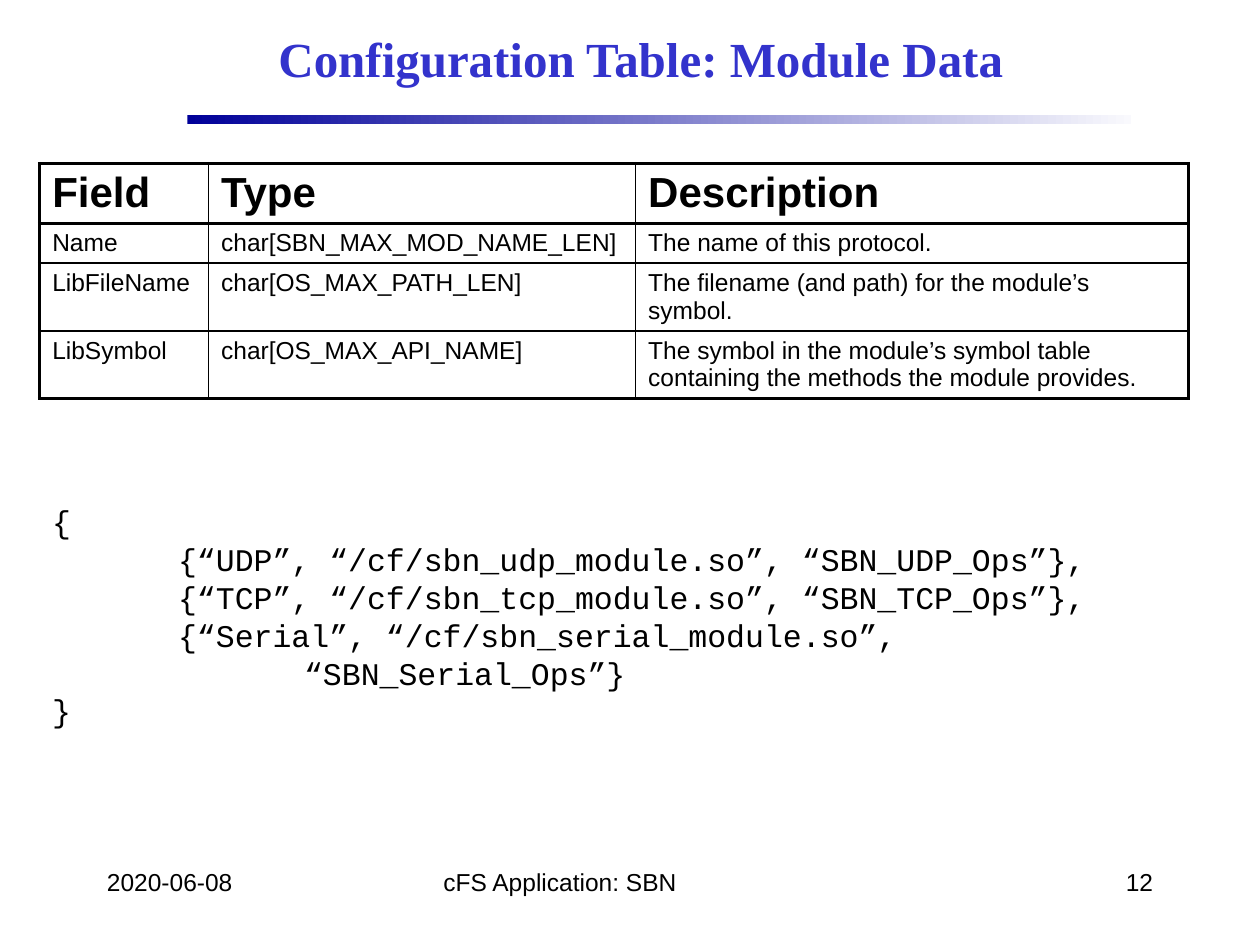
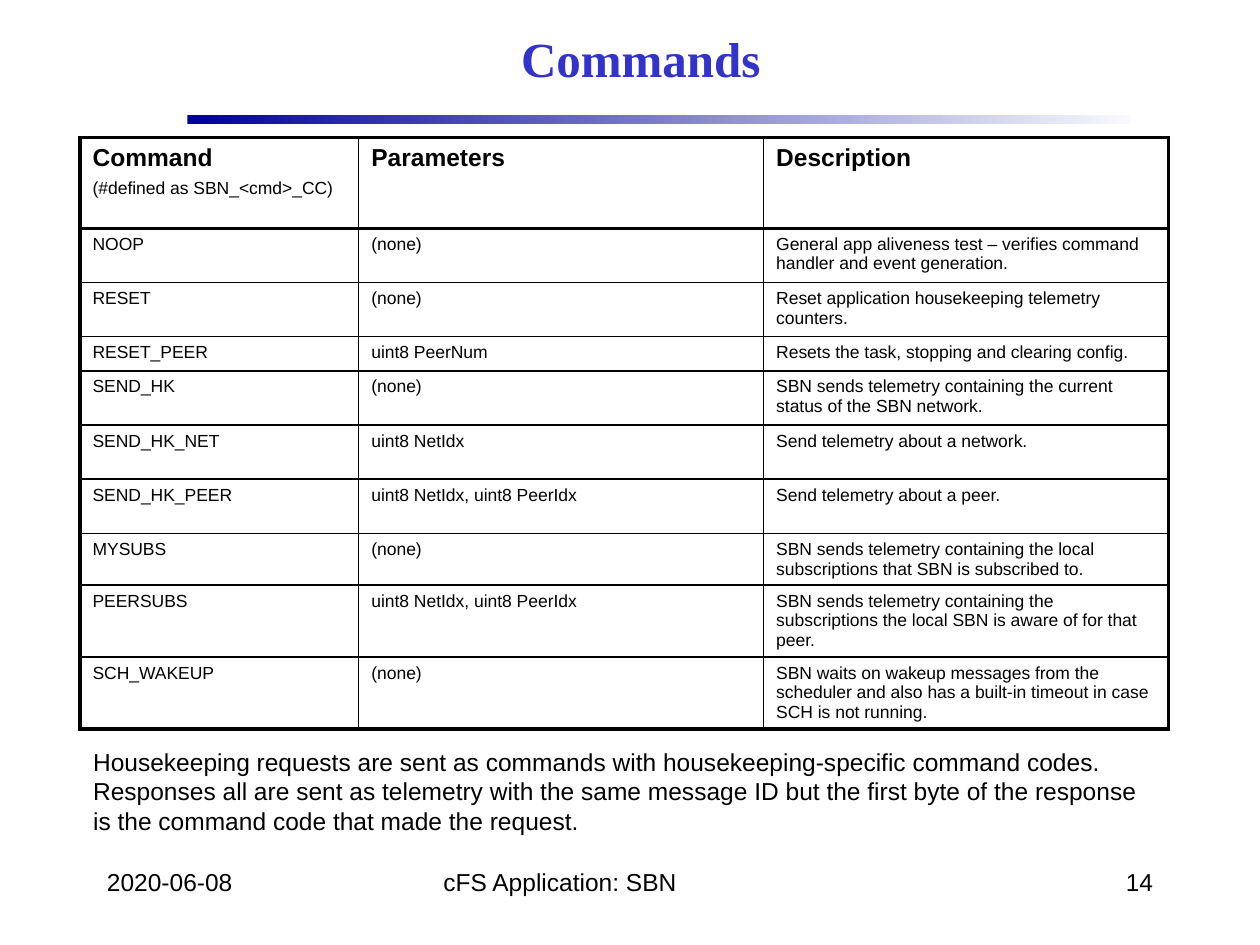
from dataclasses import dataclass

from pptx import Presentation
from pptx.dml.color import RGBColor
from pptx.enum.shapes import MSO_SHAPE
from pptx.enum.text import MSO_ANCHOR, PP_ALIGN
from pptx.oxml import parse_xml
from pptx.oxml.ns import nsdecls
from pptx.util import Inches, Pt

WIDTH, HEIGHT = Inches(10), Inches(7.5)
TAB_WIDTH = Inches(1)
CELL_BOTTOM_MARGIN = Inches(0.02)
BLACK, WHITE, TITLE_BLUE = "000000", "FFFFFF", "3333CC"
BAND_START, BAND_END = "000099", "F9F9FD"
BODY_FONT, TITLE_FONT, CODE_FONT = "Arial", "Times New Roman", "Courier New"
THICK, THIN = 2.25, 1
DATE, FOOTER = "2020-06-08", "cFS Application: SBN"


@dataclass
class Box:
    """A region in percent of the slide's width and height."""
    left: float
    top: float
    width: float
    height: float

    def place(self):
        """Return left, top, width and height as slide lengths."""
        return (int(WIDTH * self.left / 100), int(HEIGHT * self.top / 100),
                int(WIDTH * self.width / 100), int(HEIGHT * self.height / 100))


@dataclass
class Style:
    """The look of a run of text."""
    size: float
    font: str = BODY_FONT
    color: str = BLACK
    bold: bool = False


TITLE_BOX = Box(15, 1.15, 71.7, 10)
BAND_BOX = Box(14.87, 12.2, 74.9, 0.95)
DATE_BOX = Box(7.5, 91.1, 20.8, 6.67)
FOOTER_BOX = Box(34.2, 91.1, 31.7, 6.67)
NUMBER_BOX = Box(71.7, 91.1, 20.8, 6.67)

BODY = Style(14)
SMALL = Style(10)
HEADING = Style(14, bold=True)
LARGE_HEADING = Style(24, bold=True)
TITLE = Style(28, TITLE_FONT, TITLE_BLUE, True)
CODE = Style(18, CODE_FONT)

MODULE_ROWS = [
    ("Field", "Type", "Description"),
    ("Name", "char[SBN_MAX_MOD_NAME_LEN]", "The name of this protocol."),
    ("LibFileName", "char[OS_MAX_PATH_LEN]", "The filename (and path) for the module’s symbol."),
    ("LibSymbol", "char[OS_MAX_API_NAME]",
     "The symbol in the module’s symbol table containing the methods the module provides."),
]
MODULE_CODE = [
    "{",
    "\t{“UDP”, “/cf/sbn_udp_module.so”, “SBN_UDP_Ops”},",
    "\t{“TCP”, “/cf/sbn_tcp_module.so”, “SBN_TCP_Ops”},",
    "\t{“Serial”, “/cf/sbn_serial_module.so”,",
    "\t\t“SBN_Serial_Ops”}",
    "}",
]
COMMAND_ROWS = [
    ("Command", "Parameters", "Description"),
    ("NOOP", "(none)", "General app aliveness test – verifies command handler and event generation."),
    ("RESET", "(none)", "Reset application housekeeping telemetry counters."),
    ("RESET_PEER", "uint8 PeerNum", "Resets the task, stopping and clearing config."),
    ("SEND_HK", "(none)", "SBN sends telemetry containing the current status of the SBN network."),
    ("SEND_HK_NET", "uint8 NetIdx", "Send telemetry about a network."),
    ("SEND_HK_PEER", "uint8 NetIdx, uint8 PeerIdx", "Send telemetry about a peer."),
    ("MYSUBS", "(none)",
     "SBN sends telemetry containing the local subscriptions that SBN is subscribed to."),
    ("PEERSUBS", "uint8 NetIdx, uint8 PeerIdx",
     "SBN sends telemetry containing the subscriptions the local SBN is aware of for that peer."),
    ("SCH_WAKEUP", "(none)",
     "SBN waits on wakeup messages from the scheduler and also has a built-in timeout "
     "in case SCH is not running."),
]
COMMAND_HINT = "(#defined as SBN_<cmd>_CC)"
HOUSEKEEPING_NOTE = (
    "Housekeeping requests are sent as commands with housekeeping-specific command codes. "
    "Responses all are sent as telemetry with the same message ID but the first byte of the "
    "response is the command code that made the request.")


def rgb(color):
    """Turn a hex string into a colour."""
    return RGBColor.from_string(color)


def add_run(paragraph, text, style):
    """Append one styled run to a paragraph."""
    run = paragraph.add_run()
    run.text = text
    run.font.name = style.font
    run.font.size = Pt(style.size)
    run.font.bold = style.bold
    run.font.color.rgb = rgb(style.color)


def add_text(slide, box, lines, style, align=PP_ALIGN.LEFT, anchor=MSO_ANCHOR.TOP):
    """Add a wrapping text box with one paragraph per line."""
    frame = slide.shapes.add_textbox(*box.place()).text_frame
    frame.word_wrap = True
    frame.vertical_anchor = anchor
    for index, line in enumerate(lines):
        paragraph = frame.add_paragraph() if index else frame.paragraphs[0]
        paragraph.alignment = align
        paragraph._p.get_or_add_pPr().set("defTabSz", str(TAB_WIDTH))
        add_run(paragraph, line, style)


def add_band(slide, box):
    """Add the fading rule below the title."""
    band = slide.shapes.add_shape(MSO_SHAPE.RECTANGLE, *box.place())
    band.shadow.inherit = False
    band.line.fill.background()
    band.fill.gradient()
    band.fill.gradient_angle = 0
    for stop, color, position in zip(band.fill.gradient_stops, (BAND_START, BAND_END), (0, 1)):
        stop.color.rgb = rgb(color)
        stop.position = position


def add_frame(presentation, title, number):
    """Add a blank slide with the shared title, band and footers."""
    slide = presentation.slides.add_slide(presentation.slide_layouts[6])
    add_band(slide, BAND_BOX)
    add_text(slide, TITLE_BOX, [title], TITLE, PP_ALIGN.CENTER, MSO_ANCHOR.MIDDLE)
    add_text(slide, DATE_BOX, [DATE], BODY)
    add_text(slide, FOOTER_BOX, [FOOTER], BODY)
    add_text(slide, NUMBER_BOX, [str(number)], BODY, PP_ALIGN.RIGHT)
    return slide


def set_borders(cell, left, right, top, bottom):
    """Draw black cell borders with the given widths in points."""
    properties = cell._tc.get_or_add_tcPr()
    sides = {"lnL": left, "lnR": right, "lnT": top, "lnB": bottom}
    for index, (side, width) in enumerate(sides.items()):
        properties.insert(index, parse_xml(
            f'<a:{side} {nsdecls("a")} w="{int(Pt(width))}"><a:solidFill>'
            f'<a:srgbClr val="{BLACK}"/></a:solidFill></a:{side}>'))


def add_grid(slide, box, rows, column_weights, row_weights, heading, body):
    """Add a table with a thick outline and a thick rule under its heading."""
    left, top, width, height = box.place()
    row_count, column_count = len(rows), len(column_weights)
    table = slide.shapes.add_table(row_count, column_count, left, top, width, height).table
    table.horz_banding = table.first_row = False
    for column, weight in zip(table.columns, column_weights):
        column.width = int(width * weight / sum(column_weights))
    for row, weight in zip(table.rows, row_weights):
        row.height = int(height * weight / sum(row_weights))
    for row_index, texts in enumerate(rows):
        for column_index, text in enumerate(texts):
            cell = table.cell(row_index, column_index)
            cell.margin_bottom = CELL_BOTTOM_MARGIN
            cell.fill.solid()
            cell.fill.fore_color.rgb = rgb(WHITE)
            add_run(cell.text_frame.paragraphs[0], text, body if row_index else heading)
            set_borders(cell,
                        THIN if column_index else THICK,
                        THICK if column_index == column_count - 1 else THIN,
                        THIN if row_index > 1 else THICK,
                        THICK if row_index in (0, row_count - 1) else THIN)
    return table


def build_module_slide(presentation):
    """Build the slide on module data: field table and code sample."""
    slide = add_frame(presentation, "Configuration Table: Module Data", 12)
    add_grid(slide, Box(3.15, 17.3, 91.2, 24.9), MODULE_ROWS,
             (134, 339, 439), (60, 40, 68, 68), LARGE_HEADING, BODY)
    add_text(slide, Box(3.15, 52.5, 90.9, 25.6), MODULE_CODE, CODE)


def build_command_slide(presentation):
    """Build the slide on commands: command table and housekeeping note."""
    slide = add_frame(presentation, "Commands", 14)
    table = add_grid(slide, Box(6.35, 14.55, 86.4, 62.6), COMMAND_ROWS,
                     (221, 321, 321), (72, 43, 43, 27, 43, 43, 43, 41, 57, 57), HEADING, SMALL)
    hint = table.cell(0, 0).text_frame.add_paragraph()
    hint.space_before = Pt(4)
    add_run(hint, COMMAND_HINT, SMALL)
    add_text(slide, Box(6.4, 78.4, 86.2, 10.8), [HOUSEKEEPING_NOTE], BODY)


def main():
    """Build and save the presentation."""
    presentation = Presentation()
    presentation.slide_width, presentation.slide_height = WIDTH, HEIGHT
    build_module_slide(presentation)
    build_command_slide(presentation)
    presentation.save("out.pptx")


if __name__ == "__main__":
    main()
